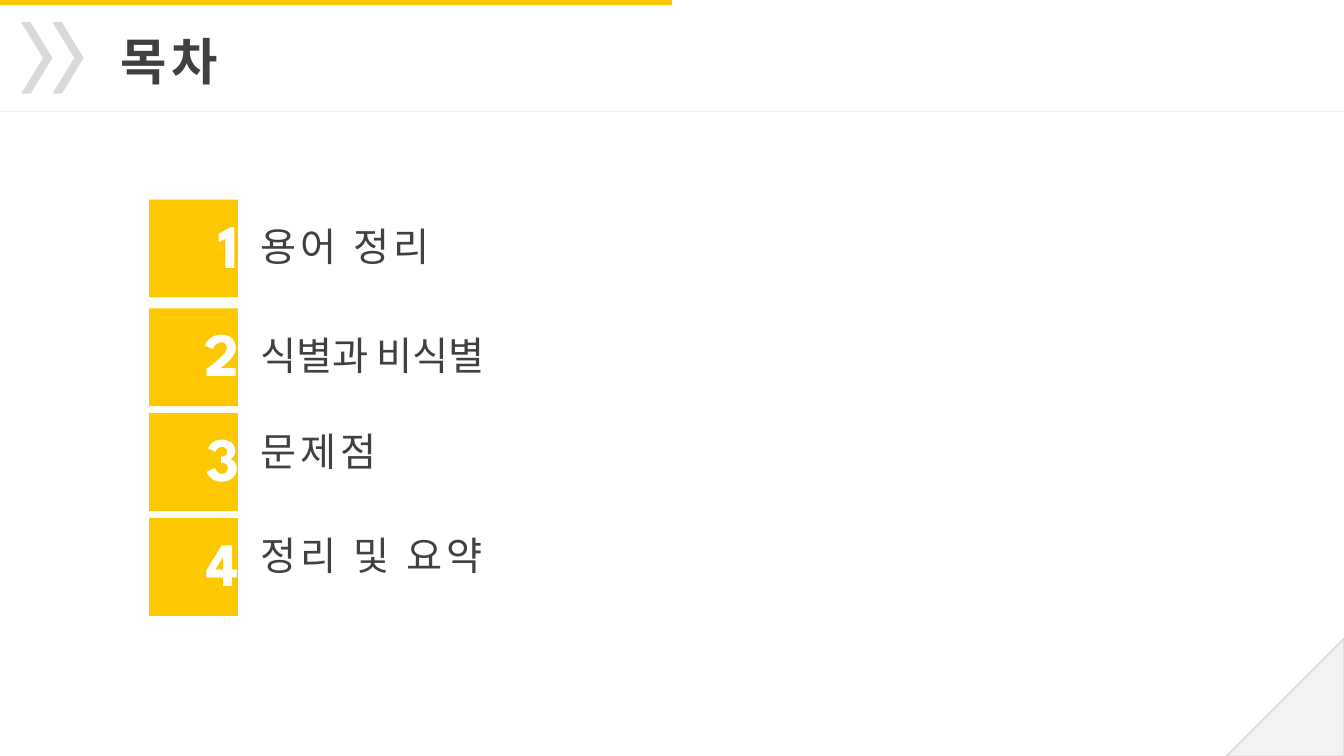
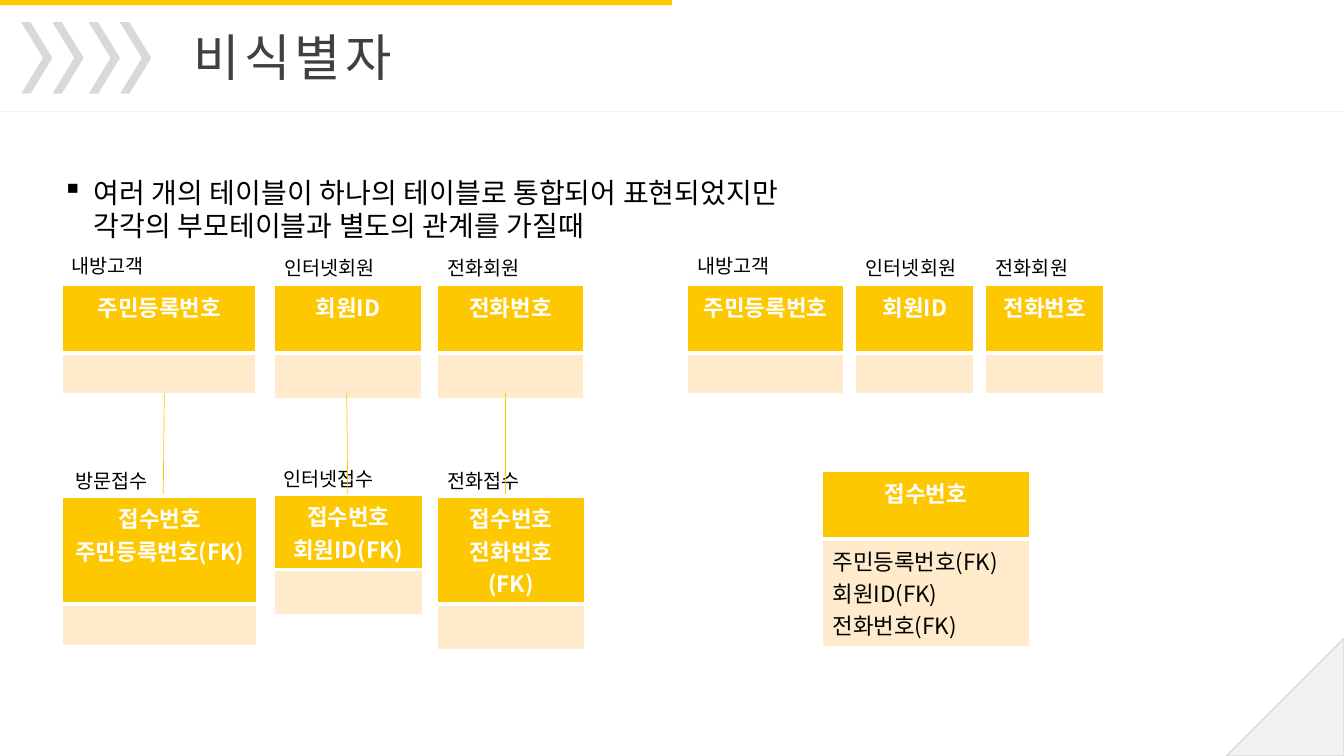
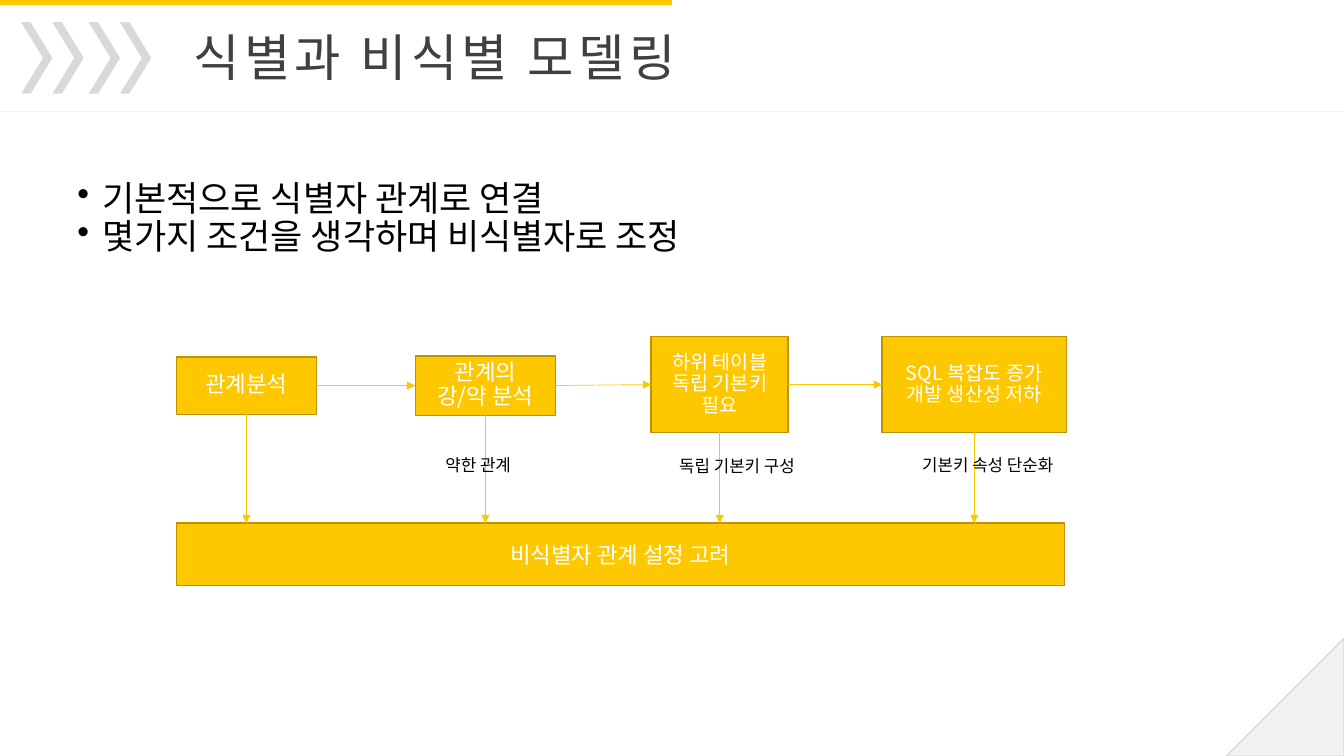
from dataclasses import dataclass, replace
from itertools import pairwise
from typing import Any, NamedTuple

from lxml import etree
from pptx import Presentation
from pptx import util as u
from pptx.dml.color import RGBColor
from pptx.enum import shapes, text
from pptx.oxml import ns

COLUMNS, ROWS = 80, 45
WIDTH, HEIGHT = u.Inches(13.33), u.Inches(7.5)
ALIGN = text.PP_ALIGN


@dataclass(frozen=True)
class Theme:
    yellow: RGBColor = RGBColor(0xFE, 0xC8, 0x00)
    bronze: RGBColor = RGBColor(0xBC, 0x94, 0x00)
    cream: RGBColor = RGBColor(0xFF, 0xEB, 0xCC)
    mist: RGBColor = RGBColor(0xF2, 0xF2, 0xF2)
    silver: RGBColor = RGBColor(0xD9, 0xD9, 0xD9)
    slate: RGBColor = RGBColor(0x40, 0x40, 0x40)
    black: RGBColor = RGBColor(0, 0, 0)
    white: RGBColor = RGBColor(0xFF, 0xFF, 0xFF)
    display: str = "League Spartan"
    body: str = "Noto Sans CJK KR"
    plain: str = "Calibri"


THEME = Theme()


class Area(NamedTuple):
    column: float
    row: float
    columns: float
    rows: float


@dataclass(frozen=True)
class Style:
    size: float
    color: RGBColor = THEME.black
    font: str = THEME.body
    asian: str = THEME.plain
    bold: bool = False
    align: Any = ALIGN.LEFT
    tracking: float = 0
    leading: float = 1
    bullet: str = ""
    indent: float = 0


TITLE = Style(36, THEME.slate, THEME.display, tracking=3)
NUMBER = Style(44, THEME.white, THEME.display, bold=True, align=ALIGN.RIGHT)
TOPIC = Style(28, THEME.slate, tracking=3)
NOTE = Style(20, font=THEME.plain, bullet="▪", indent=0.31)
POINT = Style(25, leading=0.9, bullet="•", indent=0.25)
CAPTION = Style(14, font=THEME.plain)
ARROW_LABEL = Style(12)
KEY = Style(16, THEME.white, asian=THEME.body, bold=True, align=ALIGN.CENTER)
ATTRIBUTE = Style(16, asian=THEME.body)
STEP = Style(16, THEME.white, align=ALIGN.CENTER, leading=0.9)
SMALL_STEP = replace(STEP, size=14)


class Topic(NamedTuple):
    words: str
    row: float
    label_drop: float
    style: Style = TOPIC


class Entity(NamedTuple):
    column: float
    row: float
    columns: float
    keys: tuple[str, ...]
    attributes: tuple[str, ...] = ()
    body_rows: float = 2.46


class Label(NamedTuple):
    words: str
    column: float
    row: float
    columns: float


class Step(NamedTuple):
    area: Area
    lines: tuple[str, ...]
    style: Style


TOPICS = (
    Topic("용어 정리", 11.88, 1.08),
    Topic("식별과 비식별", 18.36, 1.08, replace(TOPIC, tracking=0)),
    Topic("문제점", 24.6, 0.54),
    Topic("정리 및 요약", 30.84, 0.48),
)
ENTITIES = (
    Entity(3.72, 29.58, 11.58, ("접수번호", "주민등록번호(FK)")),
    Entity(16.32, 29.46, 8.82, ("접수번호", "회원ID(FK)"), body_rows=2.7),
    Entity(26.04, 29.58, 8.76, ("접수번호", "전화번호(FK)"), body_rows=2.7),
    Entity(3.72, 16.98, 11.52, ("주민등록번호",)),
    Entity(16.32, 16.98, 8.76, ("회원ID",), body_rows=2.7),
    Entity(26.04, 16.98, 8.7, ("전화번호",), body_rows=2.7),
    Entity(48.96, 28.08, 12.3, ("접수번호",),
           ("주민등록번호(FK)", "회원ID(FK)", "전화번호(FK)"), 5.46),
    Entity(40.92, 16.98, 9.3, ("주민등록번호",)),
    Entity(50.94, 16.98, 7.02, ("회원ID",)),
    Entity(58.68, 16.98, 7.02, ("전화번호",)),
)
ENTITY_LABELS = (
    Label("내방고객", 3.66, 14.82, 8.34),
    Label("인터넷회원", 16.32, 14.94, 8.34),
    Label("전화회원", 26.04, 14.94, 8.34),
    Label("방문접수", 3.9, 27.6, 6.48),
    Label("인터넷접수", 16.26, 27.48, 7.44),
    Label("전화접수", 26.04, 27.6, 6.48),
    Label("내방고객", 40.92, 14.82, 8.34),
    Label("인터넷회원", 50.94, 14.94, 8.34),
    Label("전화회원", 58.68, 14.94, 8.34),
)
RELATIONS = ((9.78, 9.72), (20.64, 20.7), (30.06, 30.06))
STEPS = (
    Step(Area(10.5, 21.24, 8.34, 3.42), ("관계분석",), STEP),
    Step(Area(24.72, 21.18, 8.34, 3.54), ("관계의", "강/약 분석"), STEP),
    Step(Area(38.76, 20.04, 8.16, 5.7), ("하위 테이블", "독립 기본키 필요"), SMALL_STEP),
    Step(Area(52.5, 20.04, 10.98, 5.7), ("SQL 복잡도 증가", "개발 생산성 저하"), SMALL_STEP),
)
RESULT = Step(Area(10.5, 31.14, 52.86, 3.72), ("비식별자 관계 설정 고려",), replace(STEP, leading=1))
STEP_LABELS = (
    Label("약한 관계", 25.92, 26.76, 5.64),
    Label("독립 기본키 구성", 39.84, 26.82, 9.06),
    Label("기본키 속성 단순화", 54.3, 26.76, 10.56),
)


def across(columns: float) -> int:
    return round(WIDTH * columns / COLUMNS)


def down(rows: float) -> int:
    return round(HEIGHT * rows / ROWS)


def place(area: Area) -> tuple[int, int, int, int]:
    return across(area.column), down(area.row), across(area.columns), down(area.rows)


def apply(target: Any, values: dict[str, Any]) -> None:
    for name, value in values.items():
        setattr(target, name, value)


def add_element(parent: Any, tag: str, **attributes: str) -> Any:
    return etree.SubElement(parent, ns.qn(tag), attributes)


def write(frame: Any, lines: tuple[str, ...], style: Style) -> None:
    for index, line in enumerate(lines):
        para = frame.paragraphs[0] if index == 0 else frame.add_paragraph()
        apply(para, {"alignment": style.align, "line_spacing": style.leading})
        if style.bullet:
            properties = para._p.get_or_add_pPr()
            indent = u.Inches(style.indent)
            properties.set("marL", str(indent))
            properties.set("indent", str(-indent))
            add_element(properties, "a:buChar", char=style.bullet)
        span = para.add_run()
        span.text = line
        span.font.color.rgb = style.color
        apply(span.font, {"size": u.Pt(style.size), "bold": style.bold, "name": style.font})
        letters = span._r.get_or_add_rPr()
        add_element(letters, "a:ea", typeface=style.asian)
        if style.tracking:
            letters.set("spc", str(round(style.tracking * 100)))


def add_text(page: Any, area: Area, lines: tuple[str, ...], style: Style, wrap: bool = True) -> None:
    frame = page.shapes.add_textbox(*place(area)).text_frame
    frame.word_wrap = wrap
    write(frame, lines, style)


def add_labels(page: Any, labels: tuple[Label, ...], rows: float, style: Style) -> None:
    for label in labels:
        add_text(page, Area(label.column, label.row, label.columns, rows), (label.words,), style)


def add_block(page: Any, kind: Any, area: Area, fill: RGBColor, outline: RGBColor | None = None) -> Any:
    block = page.shapes.add_shape(kind, *place(area))
    block.shadow.inherit = False
    block.fill.solid()
    block.fill.fore_color.rgb = fill
    if outline is None:
        block.line.fill.background()
    else:
        block.line.color.rgb = outline
        block.line.width = u.Pt(1)
    return block


def add_line(page: Any, start: tuple[float, float], end: tuple[float, float],
             color: RGBColor, arrow: bool = False) -> Any:
    line = page.shapes.add_connector(
        shapes.MSO_CONNECTOR.STRAIGHT,
        across(start[0]), down(start[1]), across(end[0]), down(end[1]))
    line.line.color.rgb = color
    line.line.width = u.Pt(0.5)
    properties = line.element.spPr
    if arrow:
        add_element(properties.find(ns.qn("a:ln")), "a:tailEnd", type="triangle")
    add_element(properties, "a:effectLst")
    return line


def add_borders(cell: Any, bottom: float, top: float) -> None:
    properties = cell._tc.get_or_add_tcPr()
    for side, points in (("L", 1), ("R", 1), ("T", top), ("B", bottom)):
        border = add_element(properties, f"a:ln{side}", w=str(u.Pt(points)))
        add_element(add_element(border, "a:solidFill"), "a:srgbClr", val=str(THEME.white))


def add_entity(page: Any, entity: Entity) -> None:
    heights = (4.02, entity.body_rows)
    area = Area(entity.column, entity.row, entity.columns, sum(heights))
    table = page.shapes.add_table(2, 1, *place(area)).table
    parts = (
        (entity.keys, KEY, THEME.yellow, 3, 1),
        (entity.attributes, ATTRIBUTE, THEME.cream, 1, 3),
    )
    for index, (lines, style, fill, bottom, top) in enumerate(parts):
        table.rows[index].height = down(heights[index])
        cell = table.cell(index, 0)
        add_borders(cell, bottom, top)
        cell.fill.solid()
        cell.fill.fore_color.rgb = fill
        write(cell.text_frame, lines, style)


def add_step(page: Any, step: Step) -> Any:
    block = add_block(page, shapes.MSO_SHAPE.RECTANGLE, step.area, THEME.yellow, THEME.bronze)
    apply(block.text_frame, {"word_wrap": True, "vertical_anchor": text.MSO_ANCHOR.MIDDLE})
    write(block.text_frame, step.lines, step.style)
    return block


def decorate_layout(page: Any) -> None:
    layout = page.slide_layout
    for holder in list(layout.placeholders):
        if holder.placeholder_format.type != shapes.PP_PLACEHOLDER.TITLE:
            holder.element.getparent().remove(holder.element)
    corner = add_block(page, shapes.MSO_SHAPE.RIGHT_TRIANGLE, Area(73, 38, 7, 7), THEME.mist, THEME.silver)
    corner.element.spPr.find(ns.qn("a:xfrm")).set("flipH", "1")
    band = add_block(page, shapes.MSO_SHAPE.RECTANGLE, Area(0, 0, COLUMNS / 2, 0.3), THEME.yellow)
    rule = add_line(page, (0, 6.6), (COLUMNS, 6.6), THEME.mist)
    for piece in (corner, band, rule):
        layout.shapes.element.append(piece.element)


def start_page(deck: Any, title: str, area: Area, style: Style, chevron_pairs: int) -> Any:
    page = deck.slides.add_slide(deck.slide_layouts[5])
    if len(deck.slides) == 1:
        decorate_layout(page)
    holder = page.shapes.title
    apply(holder, dict(zip(("left", "top", "width", "height"), place(area))))
    apply(holder.text_frame, {
        "word_wrap": True,
        "auto_size": text.MSO_AUTO_SIZE.NONE,
        "vertical_anchor": text.MSO_ANCHOR.TOP,
    })
    write(holder.text_frame, (title,), style)
    for pair in range(chevron_pairs):
        for side in range(2):
            area = Area(1.26 + 4.02 * pair + 1.86 * side, 1.32, 1.86, 4.26)
            chevron = add_block(page, shapes.MSO_SHAPE.CHEVRON, area, THEME.silver)
            chevron.adjustments[0] = 0.7
    return page


def build_contents(deck: Any) -> None:
    style = replace(TITLE, bold=True, align=ALIGN.RIGHT)
    page = start_page(deck, "목차", Area(6.12, 1.5, 7.44, 4.26), style, 1)
    for number, topic in enumerate(TOPICS, 1):
        add_block(page, shapes.MSO_SHAPE.RECTANGLE, Area(8.88, topic.row, 5.28, 5.82), THEME.yellow)
        add_text(page, Area(10.32, topic.row + 0.12, 4.5, 5.04), (str(number),), NUMBER)
        add_text(page, Area(14.9, topic.row + topic.label_drop, 16, 3.42), (topic.words,), topic.style)


def build_entities(deck: Any) -> None:
    page = start_page(deck, "비식별자", Area(10.92, 1.26, 14.7, 4.26), TITLE, 2)
    for entity in ENTITIES:
        add_entity(page, entity)
    add_labels(page, ENTITY_LABELS, 2.04, CAPTION)
    for start, end in RELATIONS:
        add_line(page, (start, 23.4), (end, 29.4), THEME.yellow)
    note = "여러 개의 테이블이 하나의 테이블로 통합되어 표현되었지만 각각의 부모테이블과 별도의 관계를 가질때"
    add_text(page, Area(3.12, 10.14, 48.48, 4.62), (note,), NOTE)


def build_modelling(deck: Any) -> None:
    style = replace(TITLE, font=THEME.body)
    page = start_page(deck, "식별과 비식별 모델링", Area(10.92, 1.26, 61.92, 4.26), style, 2)
    points = ("기본적으로 식별자 관계로 연결", "몇가지 조건을 생각하며 비식별자로 조정")
    add_text(page, Area(4.02, 10.5, 72, 29.7), points, POINT)
    blocks = [add_step(page, step) for step in STEPS]
    add_step(page, RESULT)
    for before, after in pairwise(blocks):
        arrow = add_line(page, (0, 0), (1, 1), THEME.yellow, arrow=True)
        arrow.begin_connect(before, 3)
        arrow.end_connect(after, 1)
    for step, block in zip(STEPS, blocks):
        middle = step.area.column + step.area.columns / 2
        bottom = step.area.row + step.area.rows
        arrow = add_line(page, (middle, bottom), (middle, RESULT.area.row), THEME.yellow, arrow=True)
        arrow.begin_connect(block, 2)
    add_labels(page, STEP_LABELS, 1.8, ARROW_LABEL)


def main() -> None:
    deck = Presentation()
    apply(deck, {"slide_width": WIDTH, "slide_height": HEIGHT})
    for build in (build_contents, build_entities, build_modelling):
        build(deck)
    deck.save("out.pptx")


if __name__ == "__main__":
    main()
